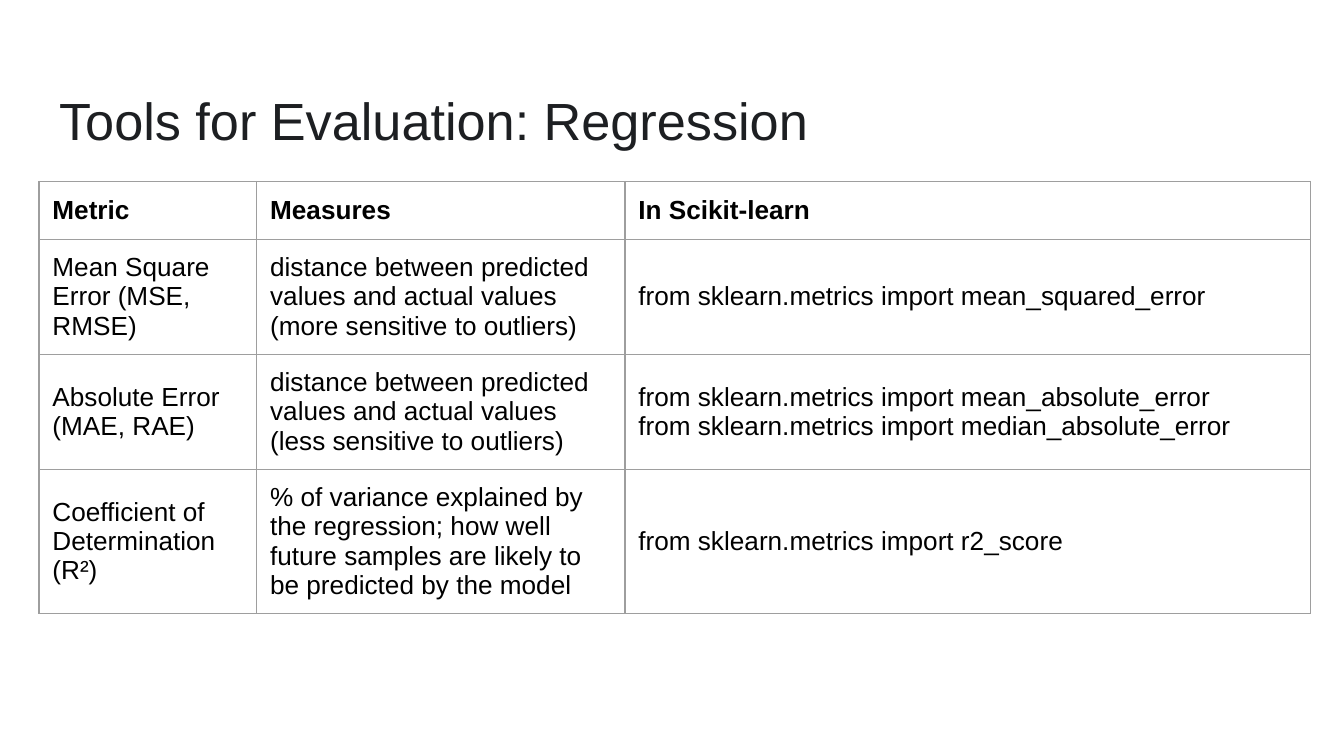
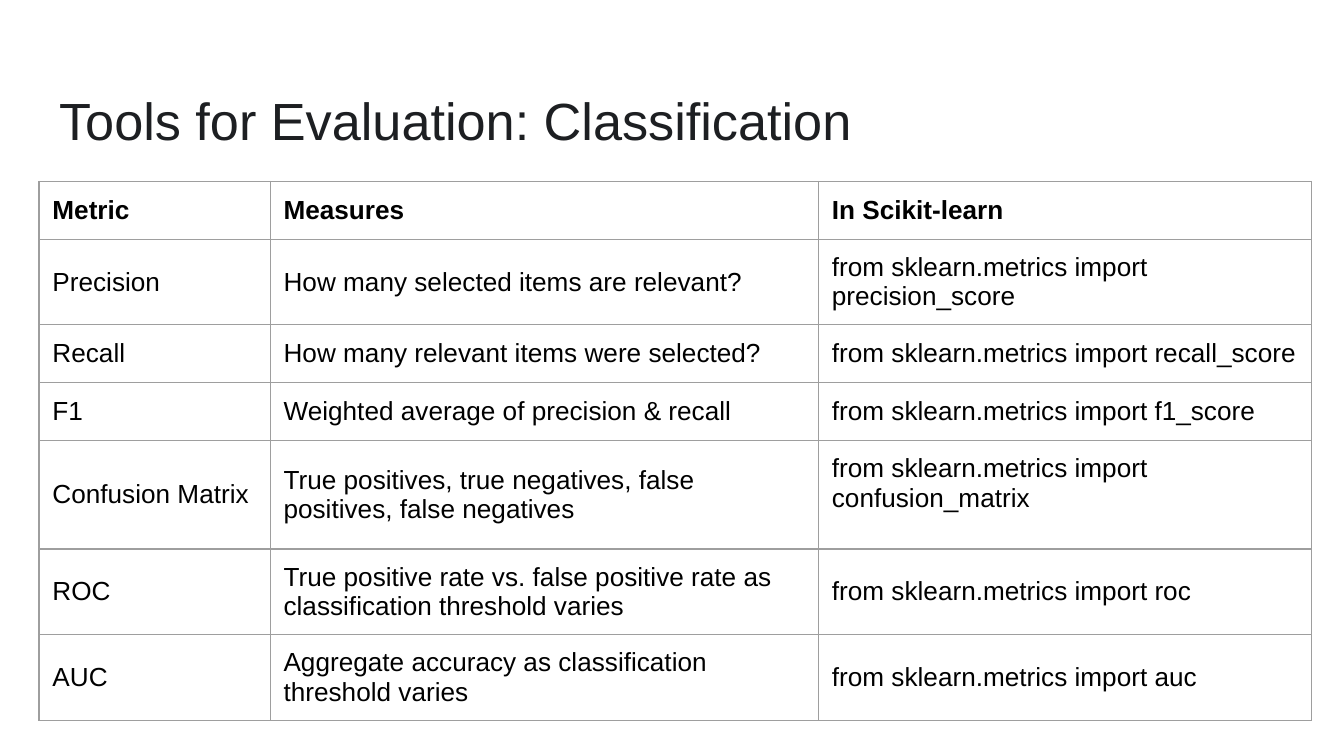
from lxml import etree
from pptx import Presentation
from pptx.dml.color import RGBColor
from pptx.enum.text import MSO_ANCHOR, MSO_AUTO_SIZE, PP_ALIGN
from pptx.oxml.ns import qn
from pptx.util import Inches, Pt

TOP, MIDDLE = MSO_ANCHOR.TOP, MSO_ANCHOR.MIDDLE
LEFT = PP_ALIGN.LEFT
NO_AUTOFIT = MSO_AUTO_SIZE.NONE
TITLE_ONLY_LAYOUT = 5

THEME = {
    "title": {"name": "Arial", "size": Pt(28), "bold": False, "color": "1D1F22"},
    "header": {"name": "Arial", "size": Pt(14), "bold": True, "color": "000000"},
    "body": {"name": "Arial", "size": Pt(14), "bold": False, "color": "000000"},
    "border_color": "9E9E9E",
    "border_width": Pt(0.75),
}
MARGINS = {
    "margin_left": Inches(0.1), "margin_right": Inches(0.1),
    "margin_top": Inches(0.1), "margin_bottom": Inches(0.1),
}
TITLE_BOX = {"left": 0.34, "top": 0.49, "width": 9.32, "height": 0.63}
TITLE_FRAME = {
    **MARGINS, "vertical_anchor": TOP, "word_wrap": True, "auto_size": NO_AUTOFIT,
}
TITLE_PARAGRAPH = {"alignment": LEFT, "line_spacing": 1.15, "space_after": Pt(16)}
CELL_FORMAT = {**MARGINS, "vertical_anchor": MIDDLE}
TABLE_LEFT, TABLE_TOP, ROW_HEIGHT = 0.29, 1.35, 0.43
HEADINGS = ("Metric", "Measures", "In Scikit-learn")
IMPORT = "from sklearn.metrics import "

SLIDES = [
    {
        "title": "Tools for Evaluation: Regression",
        "columns": (1.62, 2.74, 5.1),
        "metrics": [
            ("Mean Square Error (MSE, RMSE)",
             "distance between predicted values and actual values (more sensitive to outliers)",
             ["mean_squared_error"]),
            ("Absolute Error (MAE, RAE)",
             "distance between predicted values and actual values (less sensitive to outliers)",
             ["mean_absolute_error", "median_absolute_error"]),
            ("Coefficient of Determination (R²)",
             "% of variance explained by the regression; how well future samples "
             "are likely to be predicted by the model",
             ["r2_score"]),
        ],
    },
    {
        "title": "Tools for Evaluation: Classification",
        "columns": (1.72, 4.08, 3.67),
        "metrics": [
            ("Precision", "How many selected items are relevant?", ["precision_score"]),
            ("Recall", "How many relevant items were selected?", ["recall_score"]),
            ("F1", "Weighted average of precision & recall", ["f1_score"]),
            ("Confusion Matrix",
             "True positives, true negatives, false positives, false negatives",
             ["confusion_matrix"]),
            ("ROC",
             "True positive rate vs. false positive rate as classification threshold varies",
             ["roc"]),
            ("AUC", "Aggregate accuracy as classification threshold varies", ["auc"]),
        ],
    },
]


def set_format(target, values):
    """Set each attribute in values; a colour is given as RRGGBB for a font."""
    for name, value in values.items():
        if name == "color":
            target.color.rgb = RGBColor.from_string(value)
        else:
            setattr(target, name, value)


def add_cell_borders(cell):
    properties = cell._tc.get_or_add_tcPr()
    for side in ("a:lnL", "a:lnR", "a:lnT", "a:lnB"):
        line = etree.SubElement(properties, qn(side), w=str(THEME["border_width"]))
        fill = etree.SubElement(line, qn("a:solidFill"))
        etree.SubElement(fill, qn("a:srgbClr"), val=THEME["border_color"])


presentation = Presentation()
presentation.slide_width = Inches(10)
presentation.slide_height = presentation.slide_width * 9 // 16

for content in SLIDES:
    slide = presentation.slides.add_slide(presentation.slide_layouts[TITLE_ONLY_LAYOUT])

    title = slide.shapes.title
    set_format(title, {name: Inches(value) for name, value in TITLE_BOX.items()})
    title.text_frame.text = content["title"]
    set_format(title.text_frame, TITLE_FRAME)
    paragraph = title.text_frame.paragraphs[0]
    set_format(paragraph, TITLE_PARAGRAPH)
    set_format(paragraph.runs[0].font, THEME["title"])

    rows = [HEADINGS]
    for metric, measures, functions in content["metrics"]:
        rows.append((metric, measures, "\n".join(IMPORT + name for name in functions)))

    widths = content["columns"]
    table = slide.shapes.add_table(
        len(rows), len(widths), Inches(TABLE_LEFT), Inches(TABLE_TOP),
        Inches(sum(widths)), Inches(ROW_HEIGHT * len(rows))).table
    table.first_row = False
    table.horz_banding = False
    for column, width in zip(table.columns, widths):
        column.width = Inches(width)

    for row_index, row in enumerate(rows):
        table.rows[row_index].height = Inches(ROW_HEIGHT)
        for column_index, text in enumerate(row):
            cell = table.cell(row_index, column_index)
            cell.text = text
            set_format(cell, CELL_FORMAT)
            if text.endswith("confusion_matrix"):
                cell.margin_bottom = Inches(0.27)
            add_cell_borders(cell)
            cell.fill.background()
            for paragraph in cell.text_frame.paragraphs:
                style = THEME["body" if row_index else "header"]
                set_format(paragraph.runs[0].font, style)

presentation.save("out.pptx")
